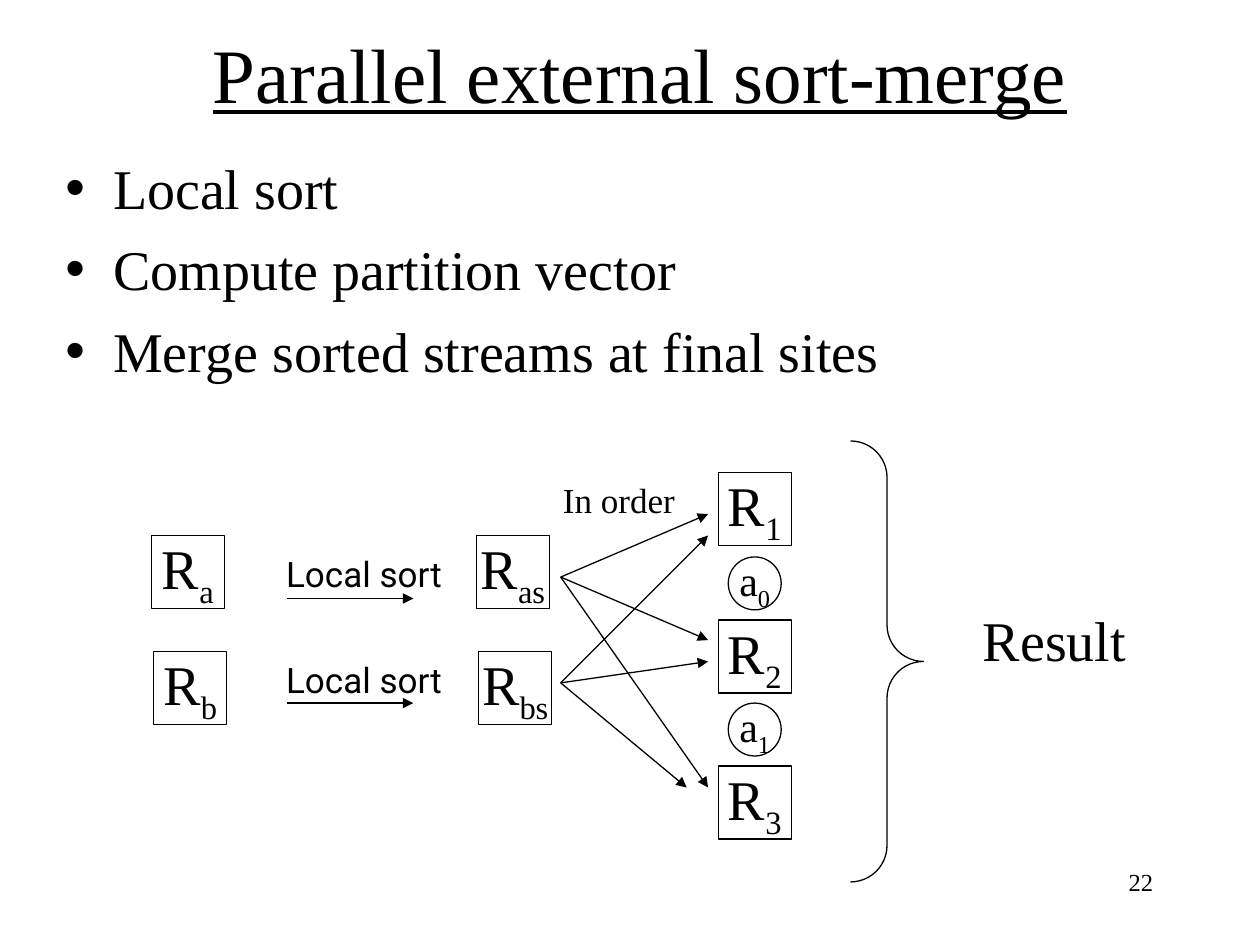
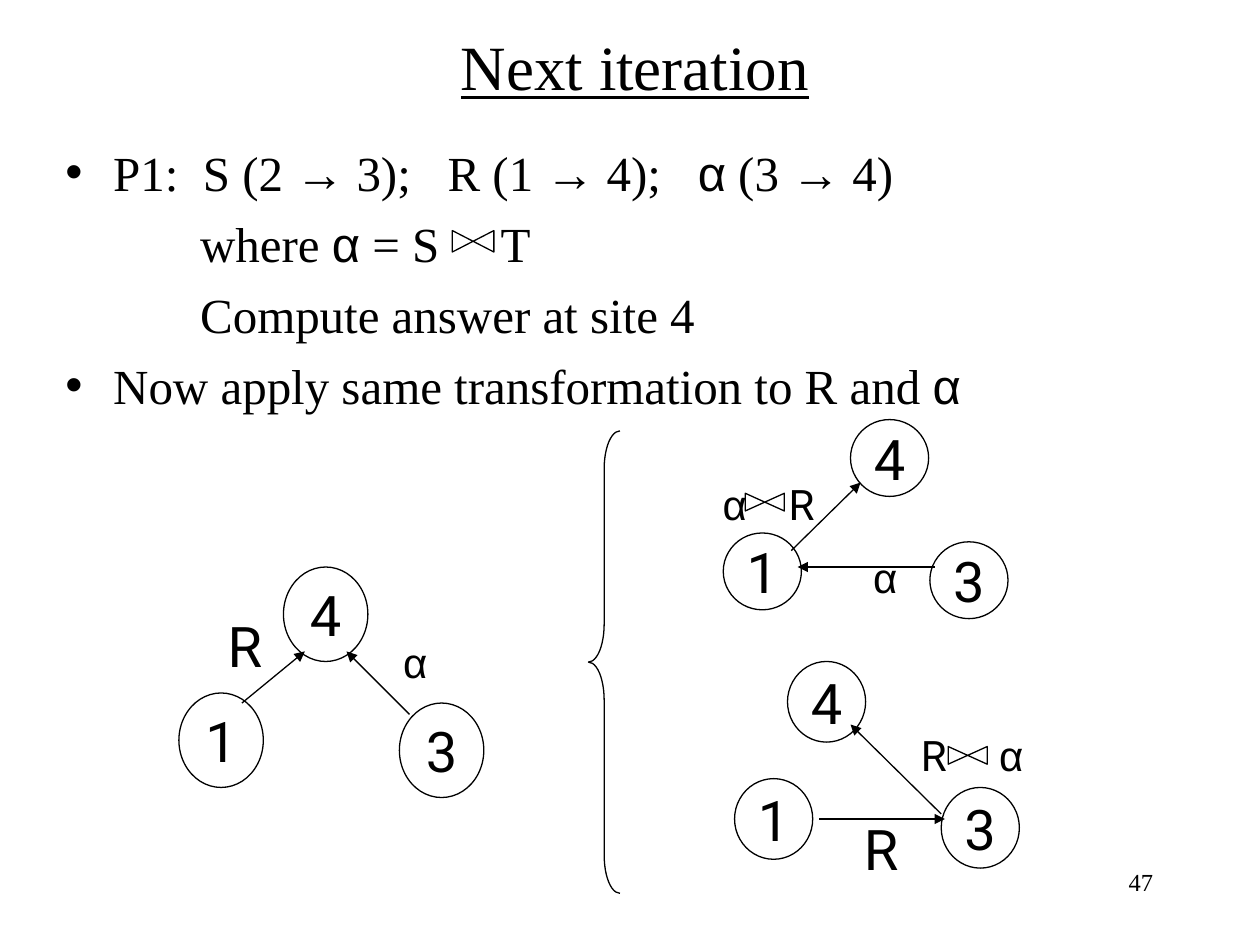
import pptx
import pptx.dml.color
import pptx.enum.shapes
import pptx.enum.text
import pptx.oxml.ns
import pptx.util
from lxml import etree

Inches = pptx.util.Inches
Pt = pptx.util.Pt
Preset = pptx.enum.shapes.MSO_SHAPE
Align = pptx.enum.text.PP_ALIGN
Anchor = pptx.enum.text.MSO_ANCHOR
qn = pptx.oxml.ns.qn
colour = pptx.dml.color.RGBColor.from_string

BLACK, WHITE = "000000", "FFFFFF"
SERIF, SANS, GREEK = "Times New Roman", "Roboto", "Arial"
SUB = {"baseline": -25000}
ARIAL = {"font": GREEK}
HANG = 0.38


def write(box, *paragraphs, size=32, font=SERIF, align=Align.CENTER,
          anchor=Anchor.MIDDLE, wrap=False, before=0, underline=None):
    """Fill a box; a paragraph is (marker, run, ...), a run is text or (text, changes).

    The marker is a bullet character, a left indent in inches, or None.
    Changes are a font, a baseline in 1/1000 percent, or a gap in points.
    """
    frame = box.text_frame
    frame.word_wrap = wrap
    frame.auto_size = pptx.enum.text.MSO_AUTO_SIZE.NONE
    frame.vertical_anchor = anchor
    for index, (marker, *runs) in enumerate(paragraphs):
        para = frame.paragraphs[0] if index == 0 else frame.add_paragraph()
        para.alignment = align
        para.space_before = Pt(before)
        properties = para._p.get_or_add_pPr()
        if isinstance(marker, str):
            properties.set("marL", str(Inches(HANG)))
            properties.set("indent", str(-Inches(HANG)))
            etree.SubElement(properties, qn("a:buFont"), typeface=GREEK)
            etree.SubElement(properties, qn("a:buChar"), char=marker)
        elif marker:
            properties.set("marL", str(Inches(marker)))
            properties.set("indent", "0")
        for run in runs:
            text, changes = (run, {}) if isinstance(run, str) else run
            span = para.add_run()
            span.text = text
            span.font.name = changes.get("font", font)
            span.font.size = Pt(size)
            span.font.underline = underline
            span.font.color.rgb = colour(BLACK)
            if "baseline" in changes:
                span._r.get_or_add_rPr().set("baseline", str(changes["baseline"]))
            if "gap" in changes:
                span._r.get_or_add_rPr().set("spc", str(changes["gap"] * 100))


def draw(slide, preset, left, top, width, height):
    """Add a thin black shape, white inside; with no preset, an arrow by its extent."""
    if preset is None:
        item = slide.shapes.add_connector(
            pptx.enum.shapes.MSO_CONNECTOR.STRAIGHT, Inches(left), Inches(top),
            Inches(left + width), Inches(top + height))
    else:
        item = slide.shapes.add_shape(
            preset, Inches(left), Inches(top), Inches(width), Inches(height))
        item.shadow.inherit = False
        item.fill.solid()
        item.fill.fore_color.rgb = colour(WHITE)
    item.line.color.rgb = colour(BLACK)
    item.line.width = Pt(0.75)
    if preset is None:
        etree.SubElement(item.line._get_or_add_ln(), qn("a:tailEnd"), type="triangle")
        etree.SubElement(item._element.spPr, qn("a:effectLst"))
    return item


deck = pptx.Presentation()
deck.slide_width, deck.slide_height = Inches(10), Inches(7.5)

# Title, bullets, brace and page number of both slides
pages = [
    dict(title="Parallel external sort-merge", title_at=(0.83, 0.17, 8.5, 0.82),
         title_size=44, title_anchor=Anchor.MIDDLE,
         body_at=(0.42, 1.17, 8.67, 1.92), body_size=32, number="22",
         brace=Preset.RIGHT_BRACE, brace_at=(6.75, 3.5, 0.58, 3.5), curl=0.5,
         body=[("•", "Local sort"),
               ("•", "Compute partition vector"),
               ("•", "Merge sorted streams at final sites")]),
    dict(title="Next iteration", title_at=(0.5, 0.17, 9.08, 0.7),
         title_size=36, title_anchor=Anchor.TOP,
         body_at=(0.42, 1.08, 9.25, 2.33), body_size=28, number="47",
         brace=Preset.LEFT_BRACE, brace_at=(4.67, 3.42, 0.25, 3.67), curl=1.2,
         body=[("•", "P1:", (" ", {"gap": 7}), "S (2 ", ("→", ARIAL), " 3);",
                (" ", {"gap": 14}), "R (1 ", ("→", ARIAL), " 4);",
                (" ", {"gap": 14}), ("α", ARIAL), " (3 ", ("→", ARIAL), " 4)"),
               (1.07, "where ", ("α", ARIAL), " = S", (" ", {"gap": 28}), "T"),
               (1.07, "Compute answer at site 4"),
               ("•", "Now apply same transformation to R and ", ("α", ARIAL))]),
]
slides = []
for page in pages:
    slide = deck.slides.add_slide(deck.slide_layouts[5])
    slides.append(slide)
    title = slide.shapes.title
    title.left, title.top, title.width, title.height = map(Inches, page["title_at"])
    write(title, (None, page["title"]), size=page["title_size"],
          anchor=page["title_anchor"], wrap=True, underline=True)
    body = slide.shapes.add_textbox(*map(Inches, page["body_at"]))
    write(body, *page["body"], size=page["body_size"], align=Align.LEFT,
          anchor=Anchor.TOP, wrap=True, before=page["body_size"] / 4)
    brace = draw(slide, page["brace"], *page["brace_at"])
    brace.fill.background()
    brace.adjustments[0] = page["curl"]
    number = slide.shapes.add_textbox(*map(Inches, (7.17, 6.83, 2.08, 0.5)))
    write(number, (None, page["number"]), size=14, align=Align.RIGHT,
          anchor=Anchor.TOP, wrap=True)

sort_slide, join_slide = slides

# Relations, split points and data flow of the sort
relations = [("a", 1.2, 4.25), ("b", 1.22, 5.17), ("as", 3.78, 4.25), ("bs", 3.8, 5.17),
             ("1", 5.7, 3.75), ("2", 5.7, 4.92), ("3", 5.7, 6.08)]
for index, left, top in relations:
    relation = draw(sort_slide, Preset.RECTANGLE, left, top, 0.58, 0.58)
    write(relation, (None, "R", (index, SUB)))
for index, top in (("0", 4.42), ("1", 5.58)):
    split_point = draw(sort_slide, Preset.OVAL, 5.78, top, 0.42, 0.42)
    write(split_point, (None, "a", (index, SUB)), size=24)
for top in (4.33, 5.17):
    step = sort_slide.shapes.add_textbox(*map(Inches, (2.16, top, 1.46, 0.44)))
    write(step, (None, "Local sort"), size=20, font=SANS)
for top in (4.75, 5.58):
    draw(sort_slide, None, 2.28, top, 1, 0)
for start, targets in ((4.58, [(5.62, 4.08), (5.62, 5.08), (5.62, 6.25)]),
                       (5.42, [(5.62, 4.25), (5.62, 5.25), (5.45, 6.25)])):
    for end_left, end_top in targets:
        draw(sort_slide, None, 4.45, start, end_left - 4.45, end_top - start)
order = sort_slide.shapes.add_textbox(*map(Inches, (4.37, 3.75, 1.33, 0.44)))
write(order, (None, "In order"), size=20, align=Align.LEFT, anchor=Anchor.TOP, wrap=True)
result = sort_slide.shapes.add_textbox(*map(Inches, (7.7, 4.75, 1.34, 0.64)))
write(result, (None, "Result"))

# Three site graphs: node size, nodes 4, 1 and 3, then arrows as left, top, right, bottom
graphs = [
    ((0.67, 0.75), [(2.25, 4.5), (1.42, 5.5), (3.17, 5.58)],
     [(1.92, 5.58, 2.42, 5.17), (3.25, 5.67, 2.75, 5.17)]),
    ((0.62, 0.61), [(6.75, 3.33), (5.74, 4.23), (7.38, 4.3)],
     [(7.42, 4.5, 6.33, 4.5), (6.28, 4.37, 6.83, 3.83)]),
    ((0.62, 0.64), [(6.25, 5.25), (5.83, 6.18), (7.47, 6.25)],
     [(7.47, 6.46, 6.75, 5.75), (6.5, 6.5, 7.5, 6.5)]),
]
for node_size, nodes, arrows in graphs:
    for site, (left, top) in zip("413", nodes):
        node = draw(join_slide, Preset.OVAL, left, top, *node_size)
        write(node, (None, site), font=SANS)
    for left, top, right, bottom in arrows:
        draw(join_slide, None, left, top, right - left, bottom - top)

edge_labels = [
    ((1.71, 4.8, 0.47, 0.64), 32, ["R"]),
    ((3.09, 5, 0.41, 0.5), 24, [("α", ARIAL)]),
    ((6.82, 4.33, 0.41, 0.5), 24, [("α", ARIAL)]),
    ((5.62, 3.75, 0.96, 0.5), 24, [("α", ARIAL), (" ", {"gap": 18}), "R"]),
    ((6.76, 6.41, 0.47, 0.64), 32, ["R"]),
    ((7.19, 5.74, 1.05, 0.5), 24, ["R", (" ", {"gap": 24}), ("α", ARIAL)]),
]
for place, size, runs in edge_labels:
    label = join_slide.shapes.add_textbox(*map(Inches, place))
    write(label, (None, *runs), size=size, font=SANS)

for join_at in ((3.67, 1.75, 0.17, 0.33), (6, 3.83, 0.14, 0.31), (7.61, 5.84, 0.14, 0.31)):
    draw(join_slide, Preset.FLOWCHART_COLLATE, *join_at).rotation = 270

deck.save("out.pptx")
